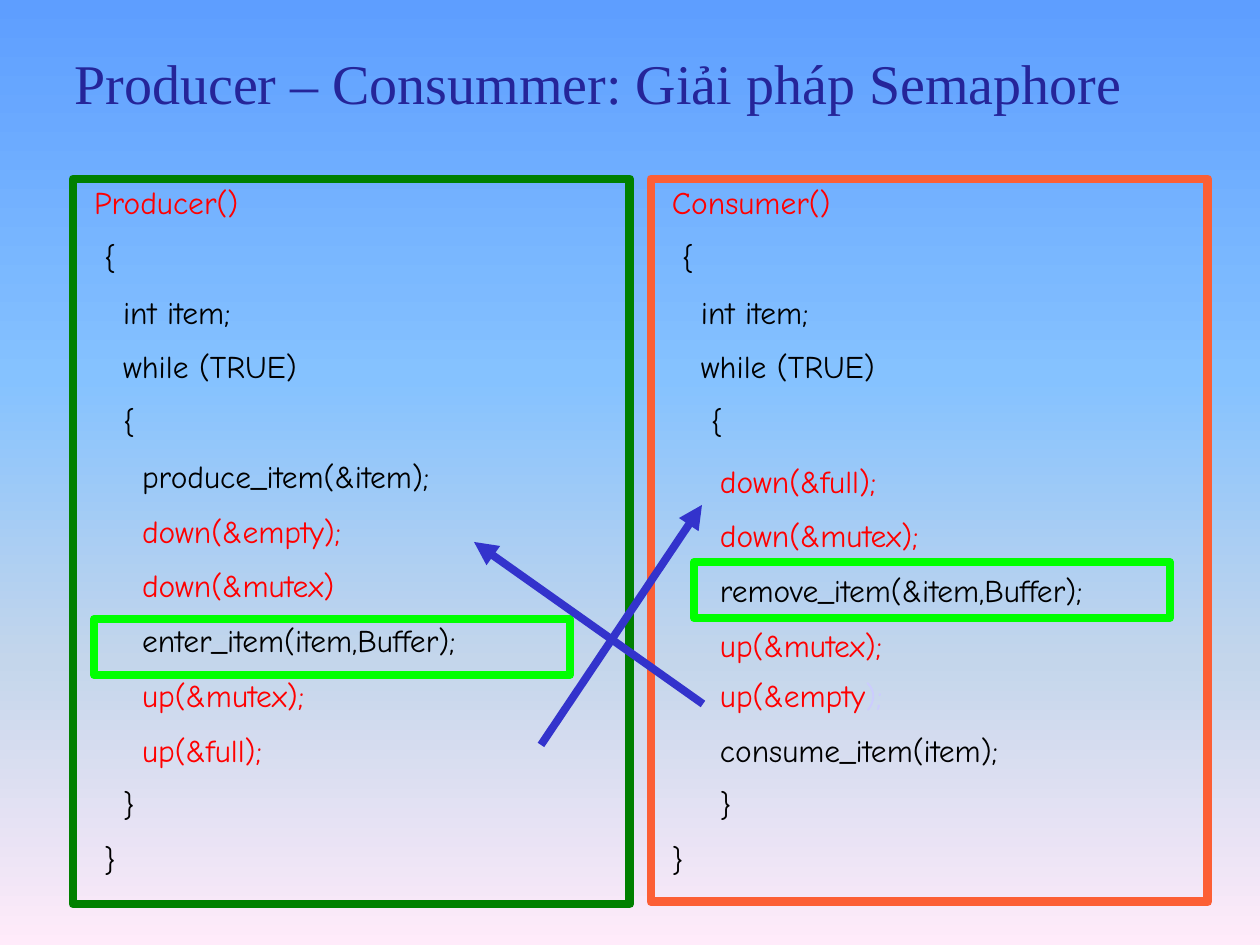
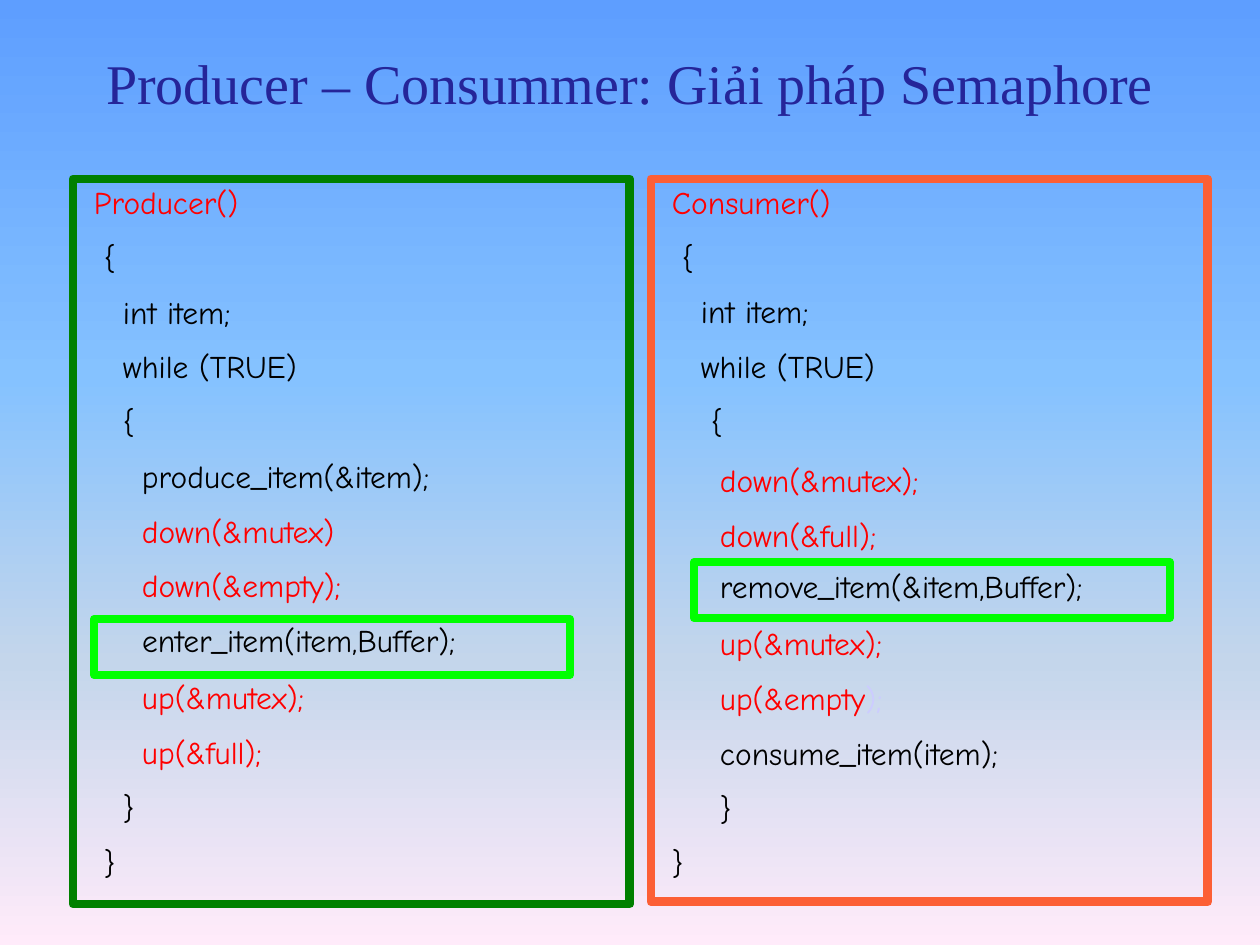
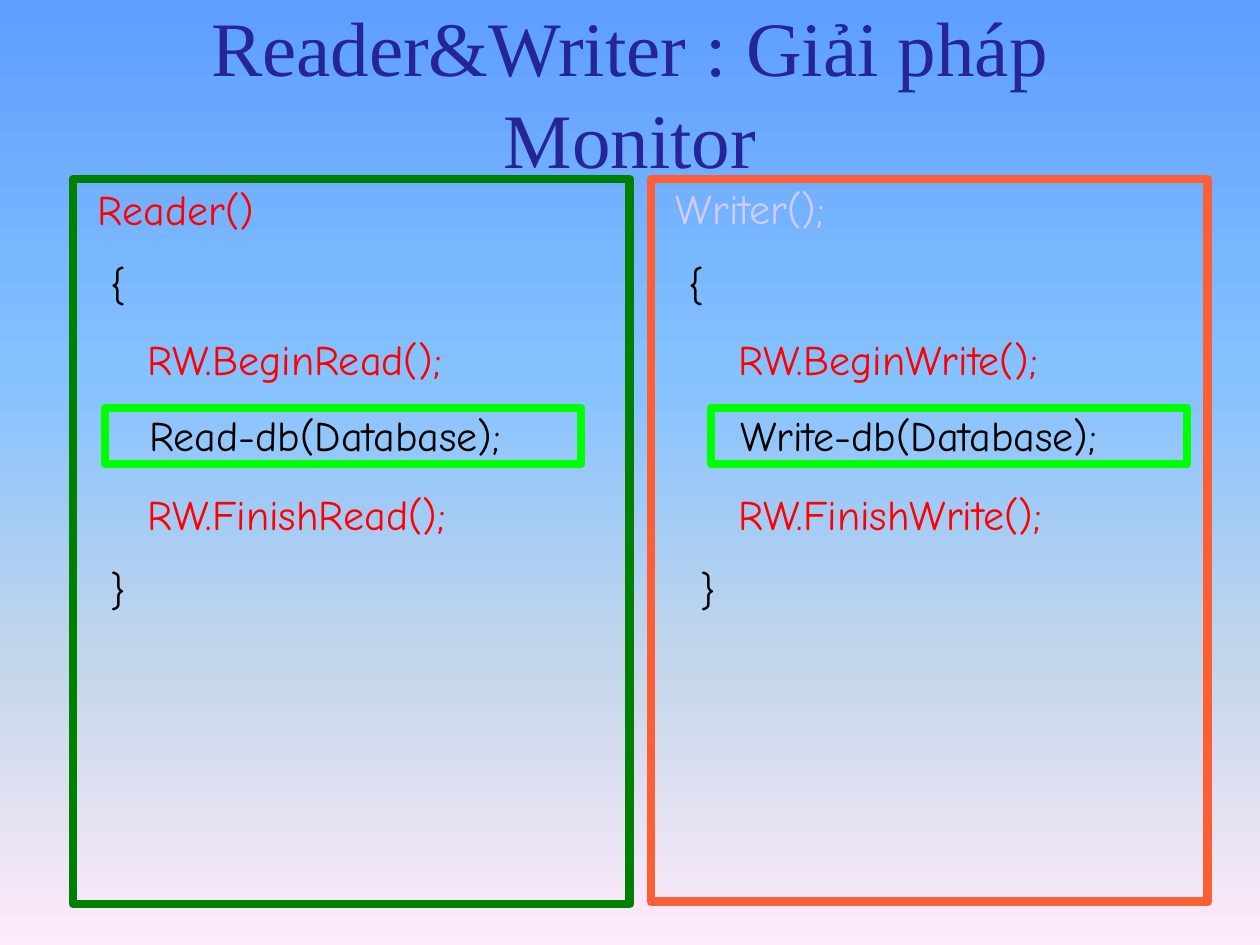
import dataclasses

import pptx
import pptx.dml.color
import pptx.enum.shapes
import pptx.enum.text
import pptx.oxml.ns
import pptx.util
from lxml import etree

RGB = pptx.dml.color.RGBColor
Pt = pptx.util.Pt
qn = pptx.oxml.ns.qn

BLACK = RGB(0, 0, 0)
RED = RGB(0xFF, 0, 0)
PALE = RGB(0xCC, 0xCC, 0xFF)
GREEN = RGB(0, 0x80, 0)
ORANGE = RGB(0xFC, 0x5F, 0x35)
LIME = RGB(0, 0xFF, 0)
BLUE = RGB(0x33, 0x33, 0xCC)
NAVY = RGB(0x25, 0x25, 0x99)
SKY = [(0, RGB(0x5E, 0x9E, 0xFF)), (40, RGB(0x85, 0xC2, 0xFF)),
       (70, RGB(0xC4, 0xD6, 0xEB)), (100, RGB(0xFF, 0xEB, 0xFA))]

CODE_FONT = "Comic Neue"
TITLE_FONT = "Times New Roman"
PX = 914400 // 126
PITCH = {18: 31.3, 24: 43}  # baseline distance in points for each code size
LEFT = (73, 179, 557, 725)
RIGHT = (651, 179, 557, 723)


def px(n):
    return pptx.util.Emu(n * PX)


@dataclasses.dataclass
class Line:
    """One line of code; extra is added to the pitch above it, in points."""
    text: str
    indent: int = 0
    color: RGB = BLACK
    extra: float = 0
    tail: str = ""


class Deck:
    def __init__(self):
        self.prs = pptx.Presentation()
        self.prs.slide_width, self.prs.slide_height = px(1260), px(945)
        self.s = None
        self.paint_master()

    def paint_master(self):
        master = self.prs.slide_master
        fill = master.background.fill
        fill.gradient()
        fill.gradient_angle = 270
        stops = master.element.find(".//" + qn("a:gsLst"))
        for old in list(stops):
            stops.remove(old)
        for percent, color in SKY:
            gs = etree.SubElement(stops, qn("a:gs"), pos=str(percent * 1000))
            etree.SubElement(gs, qn("a:srgbClr"), val=str(color))

    def slide(self):
        self.s = self.prs.slides.add_slide(self.prs.slide_layouts[6])

    def run(self, p, text, size, color, font=CODE_FONT):
        r = p.add_run()
        r.text = text
        r.font.size, r.font.name = Pt(size), font
        r.font.color.rgb = color

    def box(self, x, y, w, h):
        sp = self.s.shapes.add_textbox(px(x), px(y), px(w), px(h))
        tf = sp.text_frame
        tf.margin_left = tf.margin_right = tf.margin_top = tf.margin_bottom = 0
        tf.word_wrap = True
        return sp

    def title(self, text, x, y, w, h, size=32):
        tf = self.box(x, y, w, h).text_frame
        tf.vertical_anchor = pptx.enum.text.MSO_ANCHOR.MIDDLE
        p = tf.paragraphs[0]
        p.alignment = pptx.enum.text.PP_ALIGN.CENTER
        self.run(p, text, size, NAVY, TITLE_FONT)

    def frame(self, x, y, w, h, color, width=5.04):
        sp = self.s.shapes.add_shape(
            pptx.enum.shapes.MSO_SHAPE.RECTANGLE, px(x), px(y), px(w), px(h))
        sp.shadow.inherit = False
        sp.fill.background()
        sp.line.color.rgb, sp.line.width = color, Pt(width)
        return sp

    def highlight(self, x, y):
        return self.frame(x, y, 476, 56, LIME, 4.56)

    def code(self, sp, lines, size=18, left=0, top=0):
        """Fill a shape with code, one paragraph a line."""
        tf = sp.text_frame
        tf.margin_left, tf.margin_top = px(left), px(top)
        tf.margin_right = tf.margin_bottom = 0
        tf.vertical_anchor = pptx.enum.text.MSO_ANCHOR.TOP
        tf.word_wrap = True
        for i, line in enumerate(lines):
            p = tf.add_paragraph() if i else tf.paragraphs[0]
            p.alignment = pptx.enum.text.PP_ALIGN.LEFT
            if i:
                p.line_spacing = Pt(PITCH[size] + line.extra)
            pPr = p._p.get_or_add_pPr()
            pPr.set("marL", str(px(line.indent)))
            pPr.set("indent", "0")
            self.run(p, line.text, size, line.color)
            if line.tail:
                self.run(p, line.tail, size, PALE)

    def arrow(self, x1, y1, x2, y2):
        c = self.s.shapes.add_connector(
            pptx.enum.shapes.MSO_CONNECTOR.STRAIGHT, px(x1), px(y1), px(x2), px(y2))
        c.line.color.rgb, c.line.width = BLUE, Pt(4.5)
        spPr = c.element.spPr
        etree.SubElement(spPr.find(qn("a:ln")), qn("a:tailEnd"), type="triangle")
        etree.SubElement(spPr, qn("a:effectLst"))


def opening(name, brace_indent):
    return [Line(name, 0, RED), Line("{", 10), Line("int item;", 29),
            Line("while (TRUE)", 29), Line("{", brace_indent)]


PRODUCER_START = opening("Producer()", 29) + [Line("produce_item(&item);", 48)]
PRODUCER_END = [Line("up(&full);", 48, RED), Line("}", 29), Line("}", 10)]
CONSUMER_START = opening("Consumer()", 39)
CONSUMER_END = [Line("consume_item(item);", 48), Line("}", 48), Line("}")]
SEMAPHORE_TITLE = "Producer – Consummer: Giải pháp Semaphore"


def semaphore_slide(d):
    d.slide()
    d.title(SEMAPHORE_TITLE, 33, 40, 1131, 84)
    d.frame(*LEFT, GREEN)
    d.code(d.box(94, 183, 425, 716), PRODUCER_START + [
        Line("down(&empty);", 48, RED),
        Line("down(&mutex)", 48, RED),
        Line("enter_item(item,Buffer);", 48),
        Line("up(&mutex);", 48, RED)] + PRODUCER_END)
    d.frame(*RIGHT, ORANGE)
    d.code(d.box(672, 183, 470, 716), CONSUMER_START + [
        Line("down(&full);", 48, RED, 2.7),
        Line("down(&mutex);", 48, RED),
        Line("remove_item(&item,Buffer);", 48),
        Line("up(&mutex);", 48, RED),
        Line("up(&empty", 48, RED, -2.7, ");")] + CONSUMER_END)
    d.highlight(94, 619)
    d.highlight(694, 562)
    d.arrow(703, 704, 474, 542)
    d.arrow(541, 745, 702, 505)


def swapped_slide(d):
    d.slide()
    d.title(SEMAPHORE_TITLE, 64, 40, 1132, 84)
    d.code(d.highlight(94, 619), [Line("enter_item(item,Buffer);", 48)], top=2)
    d.code(d.frame(*LEFT, GREEN), PRODUCER_START + [
        Line("down(&mutex)", 48, RED),
        Line("down(&empty);", 48, RED),
        Line("up(&mutex);", 48, RED, 32.7)] + PRODUCER_END, left=21, top=4)
    d.code(d.highlight(694, 562), [Line("remove_item(&item,Buffer);", 26)], top=5)
    d.code(d.frame(*RIGHT, ORANGE), CONSUMER_START + [
        Line("down(&mutex);", 48, RED, 2.7),
        Line("down(&full);", 48, RED),
        Line("up(&mutex);", 48, RED, 30.4),
        Line("up(&empty", 48, RED, 0, ");")] + CONSUMER_END, left=21, top=4)


def monitor_slide(d):
    d.slide()
    d.title("Reader&Writer : Giải pháp Monitor", 80, 3, 1100, 177, 44)
    sides = [
        (LEFT, GREEN, "Reader()", RED, "Read", 50, 13, 105, 44),
        (RIGHT, ORANGE, "Writer();", PALE, "Write", 63, 25, 711, 29),
    ]
    for area, color, name, name_color, verb, indent, close, x, pad in sides:
        d.code(d.highlight(x, 408), [Line(f"{verb}-db(Database);", pad)], 24, top=1)
        d.code(d.frame(*area, color), [
            Line(name, 0, name_color),
            Line("{", 13),
            Line(f"RW.Begin{verb}();", indent, RED),
            Line(f"RW.Finish{verb}();", indent, RED, 45.6),
            Line("}", close)], 24, left=25, top=4)


def main():
    d = Deck()
    semaphore_slide(d)
    swapped_slide(d)
    monitor_slide(d)
    d.prs.save("out.pptx")


if __name__ == "__main__":
    main()
